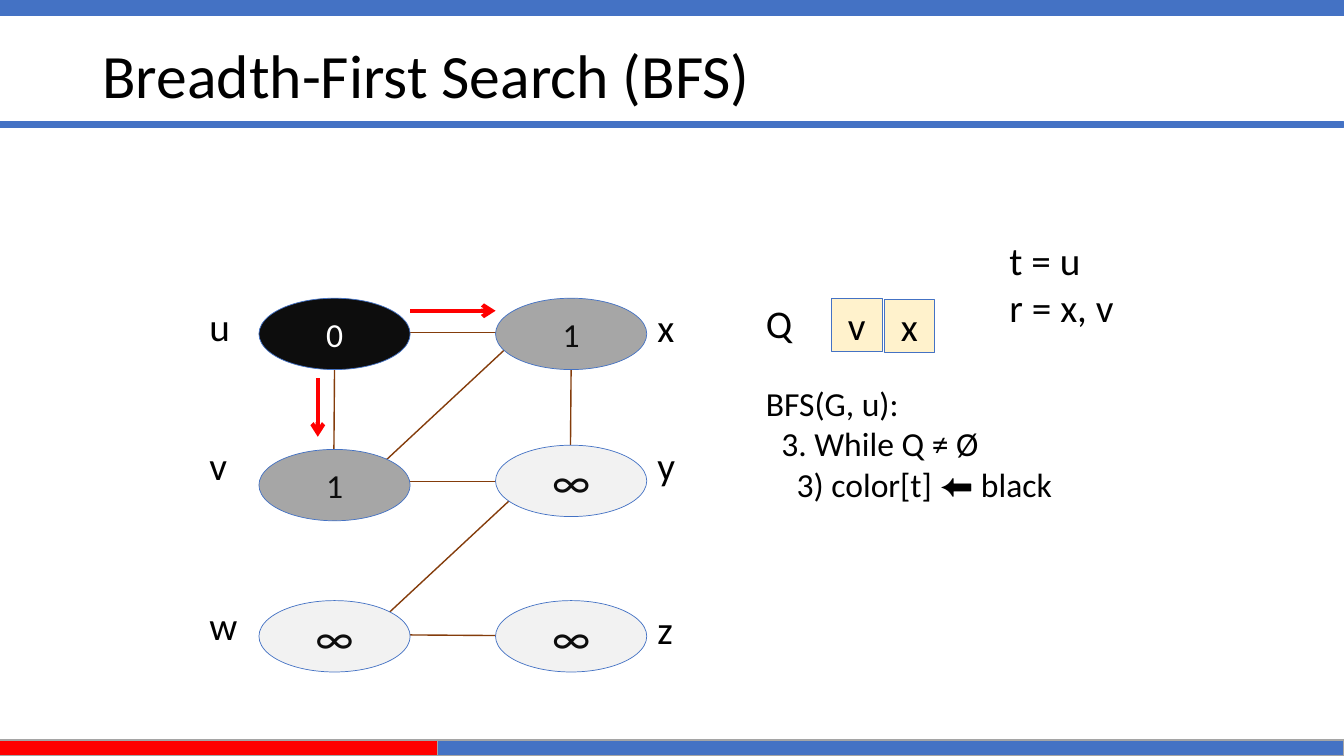
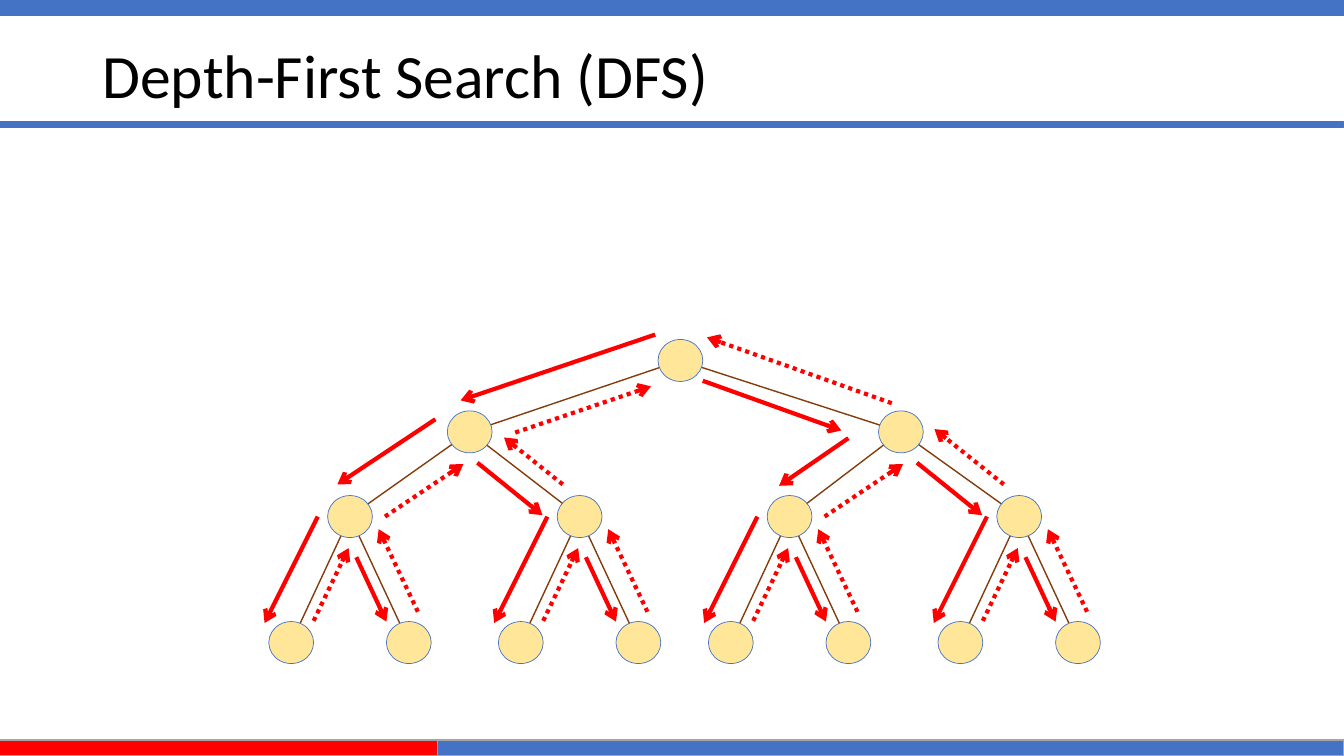
"""Build two slides on breadth-first and depth-first search."""
from lxml.etree import SubElement
from pptx import Presentation
from pptx.dml.color import RGBColor
from pptx.enum.dml import MSO_LINE
from pptx.enum.shapes import MSO_CONNECTOR, MSO_SHAPE
from pptx.enum.text import MSO_ANCHOR, MSO_AUTO_SIZE, PP_ALIGN
from pptx.oxml.ns import qn
from pptx.util import Pt

RECT, OVAL = MSO_SHAPE.RECTANGLE, MSO_SHAPE.OVAL
STRAIGHT, DOTS = MSO_CONNECTOR.STRAIGHT, MSO_LINE.ROUND_DOT
LEFT, CENTER = PP_ALIGN.LEFT, PP_ALIGN.CENTER
TOP, MIDDLE = MSO_ANCHOR.TOP, MSO_ANCHOR.MIDDLE

COLORS = {
    "blue": "4472C4", "red": "FF0000", "gray": "A5A5A5", "brown": "843C0B",
    "black": "000000", "white": "FFFFFF", "ink": "0D0D0D", "mid": "A6A6A6",
    "pale": "F2F2F2", "cream": "FFF2CC", "sand": "FFE699",
}
BANDS = [
    (0, 0, 960, 11, "blue", "blue"),
    (-0.5, 87, 960, 4, "blue", "blue"),
    (-0.5, 528.5, 314, 11, "red", "gray"),
    (312.5, 528.5, 647.5, 11, "blue", "gray"),
]

NODES = [
    (185, 213, "0", 24, "ink", "white"),
    (354, 213, "1", 24, "mid", "ink"),
    (185, 321, "1", 24, "mid", "ink"),
    (354, 318, "∞", 32, "pale", "ink"),
    (354, 429, "∞", 32, "pale", "ink"),
    (185, 429, "∞", 32, "pale", "ink"),
]
LINKS = [
    (372, 350, 271, 444), (371, 240, 270, 334), (408, 258, 407.5, 320),
    (239, 258, 238.5, 325), (288, 453.5, 360, 454), (288, 344, 360, 344),
    (289.5, 237.5, 356, 237.5),
]
STEPS = [(293, 222, 354, 222), (227, 270, 227, 312)]
NAMES = [
    (142.5, 212.5, "u"), (462.5, 213, "x"), (142.5, 312, "v"),
    (462.5, 312, "y"), (142.5, 426, "w"), (462.5, 429, "z"), (540, 210, "Q"),
]
QUEUE = [(594, 213, "v"), (631.5, 214, "x")]
CODE = "BFS(G, u):\n3. While Q ≠ Ø\n3) color[t] ⬅ black"
STATE = "t = u\nr = x, v"

ROWS = [257.5, 308.5, 369, 459]
ROOT, SONS, TWIGS = 486, [335.5, 643.5], [250, 414, 564, 728]
SPREAD = 42
DOWN = [(468, 239, 329, 286), (311, 299.5, 241, 346),
        (502, 272, 601, 307.5), (606, 313, 556.5, 347)]
BACK = [(368, 309, 465, 276), (402, 346, 360, 312.5),
        (637, 288, 505, 241), (717, 346, 667.5, 306.5)]
TWIG_DOWN = [(-23, 0, -61, 76), (4.5, 29, 26, 75)]
TWIG_BACK = [(-26, 74.5, -1, 22.5), (48.5, 68, 20.5, 9)]
LEFT_BACK = (25, 0, 81, -37.5)
RIGHT_DOWN = (-73, -38.5, -26.5, -1)


def tint(name):
    return RGBColor.from_string(COLORS[name])


def say(frame, text, size=28, color="black", align=LEFT, anchor=TOP,
        dents=(), space=None):
    frame.word_wrap = True
    frame.auto_size = MSO_AUTO_SIZE.NONE
    frame.vertical_anchor = anchor
    for i, line in enumerate(text.split("\n")):
        para = frame.paragraphs[0] if i == 0 else frame.add_paragraph()
        para.alignment = align
        if space:
            para.line_spacing = space
        if dents:
            para._p.get_or_add_pPr().set("marL", str(Pt(dents[i])))
        for part in filter(None, line.partition("⬅")):
            run = para.add_run()
            run.text = part
            run.font.name = "Arial" if part == "⬅" else "Calibri"
            run.font.size = Pt(size)
            run.font.color.rgb = tint(color)


def form(slide, kind, box, fill, edge="blue", width=0.5):
    shape = slide.shapes.add_shape(kind, *map(Pt, box))
    shape.shadow.inherit = False
    shape.fill.solid()
    shape.fill.fore_color.rgb = tint(fill)
    shape.line.color.rgb = tint(edge)
    shape.line.width = Pt(width)
    return shape


def note(slide, box, text, **style):
    say(slide.shapes.add_textbox(*map(Pt, box)).text_frame, text, **style)


def link(slide, ends, color="brown", width=1):
    line = slide.shapes.add_connector(STRAIGHT, *map(Pt, ends))
    line.line.color.rgb = tint(color)
    line.line.width = Pt(width)
    SubElement(line.element.spPr, qn("a:effectLst"))
    return line


def arrow(slide, ends, dots=False):
    line = link(slide, ends, "red", 3)
    if dots:
        line.line.dash_style = DOTS
    SubElement(line.element.spPr.find(qn("a:ln")), qn("a:tailEnd"), type="arrow")


def shift(ends, x, y):
    return ends[0] + x, ends[1] + y, ends[2] + x, ends[3] + y


def dress(deck, slide):
    tree = deck.slide_master.shapes.element
    for i, (*box, fill, edge) in enumerate(BANDS):
        band = form(slide, RECT, box, fill, edge, 1).element
        band.nvSpPr.cNvPr.set("id", str(20 + i))
        tree.insert(2 + i, band)


def page(deck, text):
    slide = deck.slides.add_slide(deck.slide_layouts[5])
    title = slide.shapes.title
    title.left, title.top, title.width, title.height = map(Pt, (66, 29, 828, 104))
    say(title.text_frame, text, size=44, space=0.9)
    return slide


def graph(slide):
    for ends in LINKS:
        link(slide, ends)
    for x, y, text, size, fill, color in NODES:
        node = form(slide, OVAL, (x, y, 108, 51), fill)
        say(node.text_frame, text, size=size, color=color, align=CENTER, anchor=MIDDLE)
    for x, y, text in NAMES:
        note(slide, (x, y, 36, 41), text)
    for x, y, text in QUEUE:
        cell = form(slide, RECT, (x, y, 36, 38), "cream")
        say(cell.text_frame, text, align=CENTER, anchor=MIDDLE)
    note(slide, (540, 270, 258, 94), CODE, size=24, dents=(0, 11, 22))
    note(slide, (714, 165, 108, 75), STATE)
    for ends in STEPS:
        arrow(slide, ends)


def tree(slide):
    leaves = [x + d for x in TWIGS for d in (-SPREAD, SPREAD)]
    rows = [[ROOT], SONS, TWIGS, leaves]
    for i in range(1, len(rows)):
        for j, x in enumerate(rows[i]):
            link(slide, (rows[i - 1][j // 2], ROWS[i - 1], x, ROWS[i]))
    for row, y in zip(rows, ROWS):
        for x in row:
            form(slide, OVAL, (x - 16, y - 15, 32, 30), "sand")
    down, back = list(DOWN), list(BACK)
    for i, x in enumerate(TWIGS):
        down += [shift(ends, x, ROWS[2]) for ends in TWIG_DOWN]
        back += [shift(ends, x, ROWS[2]) for ends in TWIG_BACK]
        if i % 2:
            down.append(shift(RIGHT_DOWN, x, ROWS[2]))
        else:
            back.append(shift(LEFT_BACK, x, ROWS[2]))
    for ends in down:
        arrow(slide, ends)
    for ends in back:
        arrow(slide, ends, dots=True)


def main():
    deck = Presentation()
    deck.slide_width, deck.slide_height = Pt(960), Pt(540)
    first = page(deck, "Breadth-First Search (BFS)")
    dress(deck, first)
    graph(first)
    tree(page(deck, "Depth-First Search (DFS)"))
    deck.save("out.pptx")


if __name__ == "__main__":
    main()
